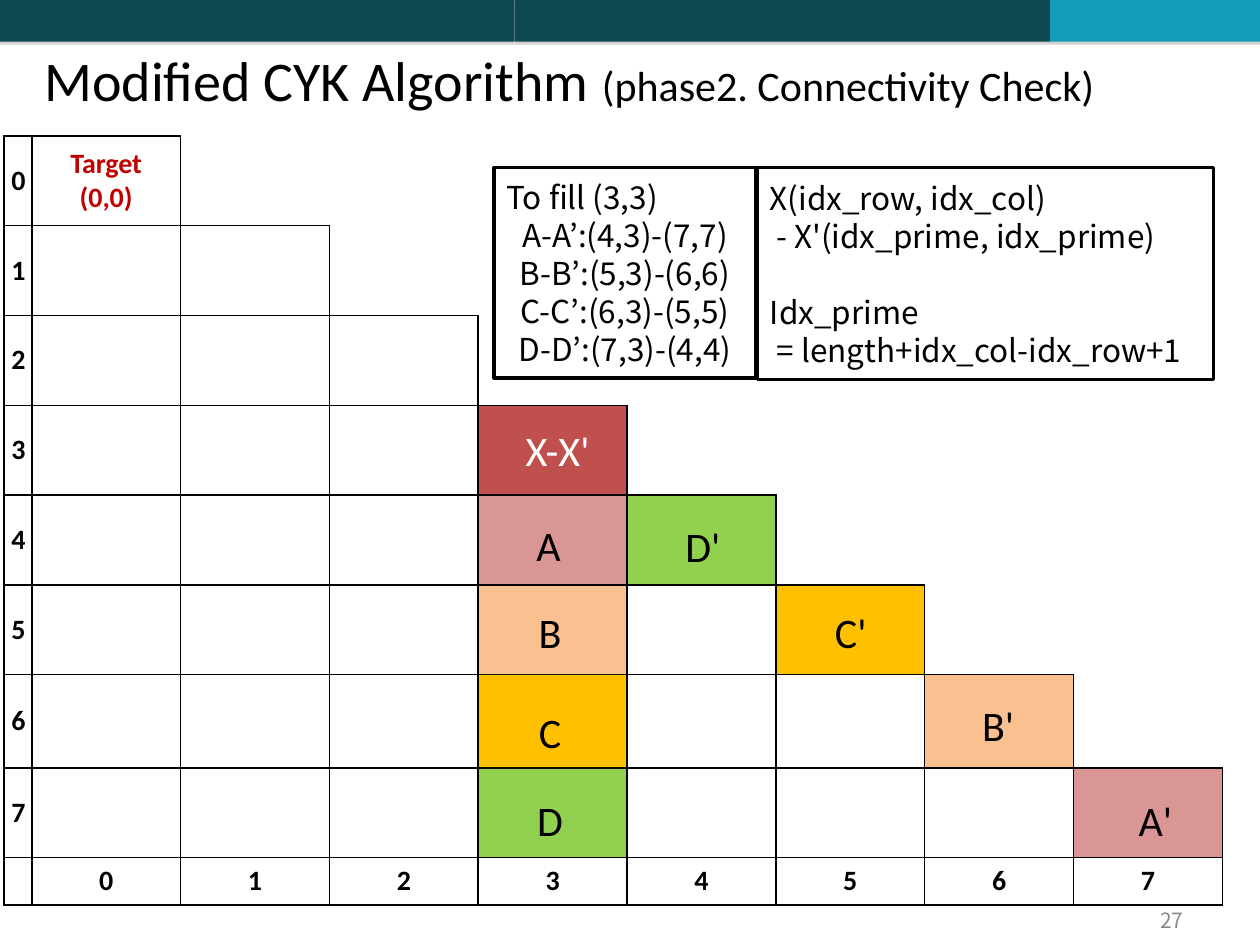
"""Build the slide on the connectivity check of the modified CYK algorithm."""
from lxml.etree import SubElement
from pptx import Presentation
from pptx.dml.color import RGBColor
from pptx.enum.shapes import MSO_SHAPE
from pptx.enum.text import MSO_ANCHOR as Anchor, MSO_AUTO_SIZE as AutoSize, PP_ALIGN as Align
from pptx.oxml.ns import qn
from pptx.util import Cm, Pt

BLACK = RGBColor(0x00, 0x00, 0x00)
WHITE = RGBColor(0xFF, 0xFF, 0xFF)
GRAY = RGBColor(0x89, 0x89, 0x89)
DARK_TEAL = RGBColor(0x0E, 0x48, 0x51)
SKY = RGBColor(0x13, 0x9C, 0xB7)
CRIMSON = RGBColor(0xC0, 0x00, 0x00)
RED = RGBColor(0xC0, 0x50, 0x4D)
PINK = RGBColor(0xD9, 0x96, 0x94)
PEACH = RGBColor(0xFA, 0xC0, 0x90)
AMBER = RGBColor(0xFF, 0xC0, 0x00)
GREEN = RGBColor(0x92, 0xD0, 0x50)
LATIN, SANS = "Calibri", "Noto Sans CJK KR"

TITLE = [("Modified CYK Algorithm ", 32), ("(phase2. Connectivity Check)", 24)]
PAGE_NUMBER = "27"
BANNER = [(0, 10.36, DARK_TEAL), (10.37, 10.8, DARK_TEAL), (21.17, 4.23, SKY)]
SIZE = 8
TARGET = ["Target", "(0,0)"]
CELL_FILLS = {
    (3, 3): RED, (4, 3): PINK, (5, 3): PEACH, (6, 3): AMBER, (7, 3): GREEN,
    (4, 4): GREEN, (5, 5): AMBER, (6, 6): PEACH, (7, 7): PINK,
}
LABELS = [
    ("X-X'", 11.24, 8.43, WHITE), ("A", 11.06, 10.34, BLACK),
    ("B", 11.09, 12.09, BLACK), ("C", 11.09, 14.12, BLACK),
    ("D", 11.09, 15.88, BLACK), ("D'", 14.17, 10.36, BLACK),
    ("C'", 17.15, 12.09, BLACK), ("B'", 20.12, 13.97, BLACK),
    ("A'", 23.29, 15.88, BLACK),
]
FILL_STEPS = [("To fill (3,3)", Align.LEFT, 0, 0)] + [
    (step, Align.CENTER, 0, 0)
    for step in ("A-A’:(4,3)-(7,7)", "B-B’:(5,3)-(6,6)", "C-C’:(6,3)-(5,5)", "D-D’:(7,3)-(4,4)")
]
INDEX_RULE = [
    ("X(idx_row, idx_col)", Align.LEFT, 0, 0),
    ("- X'(idx_prime, idx_prime)", Align.LEFT, 0.14, 0),
    ("Idx_prime", Align.LEFT, 0, 21.7),
    ("= length+idx_col-idx_row+1", Align.LEFT, 0.14, 0),
]
NOTES = [(9.96, 5.28, 4.24, FILL_STEPS), (15.27, 9.19, 4.27, INDEX_RULE)]
NOTE_TOP = 3.38

GRID_LEFT, GRID_TOP, COLUMN_WIDTH = 0.64, 2.74, 3.0
HEADER_LEFT, HEADER_WIDTH = 0.08, 0.58
ROW_HEIGHTS = [1.81] * 6 + [1.88, 1.81, 0.95]


def add_run(paragraph, text, size, color=BLACK, name=LATIN, bold=False):
    run = paragraph.add_run()
    run.text = text
    font = run.font
    font.size, font.name, font.bold = Pt(size), name, bold
    font.color.rgb = color


def add_text(slide, left, top, width, height, text, size, color, name, align):
    box = slide.shapes.add_textbox(Cm(left), Cm(top), Cm(width), Cm(height))
    frame = box.text_frame
    frame.word_wrap = True
    frame.vertical_anchor = Anchor.MIDDLE
    frame.paragraphs[0].alignment = align
    add_run(frame.paragraphs[0], text, size, color, name)


def add_rectangle(slide, left, top, width, height, color):
    shape = slide.shapes.add_shape(MSO_SHAPE.RECTANGLE, Cm(left), Cm(top), Cm(width), Cm(height))
    shape.shadow.inherit = False
    shape.fill.solid()
    shape.fill.fore_color.rgb = color
    shape.line.fill.background()
    return shape


def add_drop_shadow(shape):
    effects = shape._element.spPr.find(qn("a:effectLst"))
    shadow = SubElement(effects, qn("a:outerShdw"), blurRad="0", dist=str(Pt(1.8)), dir="5400000")
    color = SubElement(shadow, qn("a:srgbClr"), val="808080")
    SubElement(color, qn("a:alpha"), val="35000")


def add_note(slide, left, width, height, lines):
    shape = add_rectangle(slide, left, NOTE_TOP, width, height, WHITE)
    shape.line.color.rgb = BLACK
    shape.line.width = Pt(2)
    frame = shape.text_frame
    frame.word_wrap = True
    frame.vertical_anchor = Anchor.MIDDLE
    for index, (text, align, indent, space) in enumerate(lines):
        paragraph = frame.add_paragraph() if index else frame.paragraphs[0]
        paragraph.alignment = align
        paragraph.line_spacing = Pt(21.7)
        if space:
            paragraph.space_before = Pt(space)
        if indent:
            paragraph._p.get_or_add_pPr().set("marL", str(Cm(indent)))
        add_run(paragraph, text, 18, name=SANS)


def format_cell(cell, lines, sides, fill=None, color=BLACK):
    cell.margin_left = cell.margin_right = cell.margin_top = cell.margin_bottom = Cm(0.13)
    cell.vertical_anchor = Anchor.MIDDLE
    properties = cell._tc.get_or_add_tcPr()
    for side in "LRTB":
        line = SubElement(properties, qn(f"a:ln{side}"), w=str(Pt(1)))
        if side in sides:
            solid = SubElement(line, qn("a:solidFill"))
            SubElement(solid, qn("a:srgbClr"), val=str(BLACK))
        else:
            SubElement(line, qn("a:noFill"))
    if fill is None:
        cell.fill.background()
    else:
        cell.fill.solid()
        cell.fill.fore_color.rgb = fill
    frame = cell.text_frame
    for index, text in enumerate(lines):
        paragraph = frame.add_paragraph() if index else frame.paragraphs[0]
        paragraph.alignment = Align.CENTER
        add_run(paragraph, text, 16, color, bold=True)
    if not lines:
        frame.paragraphs[0]._p.get_or_add_endParaRPr().set("sz", "1600")


def add_plain_table(slide, left, column_count, column_width):
    table = slide.shapes.add_table(
        len(ROW_HEIGHTS), column_count, Cm(left), Cm(GRID_TOP),
        Cm(column_count * column_width), Cm(sum(ROW_HEIGHTS)),
    ).table
    table.first_row = table.horz_banding = False
    for column in table.columns:
        column.width = Cm(column_width)
    for row, height in zip(table.rows, ROW_HEIGHTS):
        row.height = Cm(height)
    return table


def add_grid(slide):
    table = add_plain_table(slide, GRID_LEFT, SIZE, COLUMN_WIDTH)
    for row in range(SIZE + 1):
        for column in range(SIZE):
            sides = "LRTB" if column <= row else "LB" if column == row + 1 else ""
            lines = [str(column)] if row == SIZE else TARGET if row == column == 0 else []
            color = BLACK if row == SIZE else CRIMSON
            format_cell(table.cell(row, column), lines, sides, CELL_FILLS.get((row, column)), color)


def add_row_header(slide):
    table = add_plain_table(slide, HEADER_LEFT, 1, HEADER_WIDTH)
    for row in range(SIZE + 1):
        format_cell(table.cell(row, 0), [str(row)] if row < SIZE else [], "LRTB")


def add_title(slide):
    title = slide.shapes.title
    title.left, title.top, title.width, title.height = Cm(0.64), Cm(0.79), Cm(24), Cm(1.98)
    frame = title.text_frame
    frame.auto_size = AutoSize.NONE
    frame.vertical_anchor = Anchor.TOP
    frame.paragraphs[0].alignment = Align.LEFT
    for text, size in TITLE:
        add_run(frame.paragraphs[0], text, size)


def main():
    presentation = Presentation()
    presentation.slide_width, presentation.slide_height = Cm(25.4), Cm(19.05)
    slide = presentation.slides.add_slide(presentation.slide_layouts[5])
    for left, width, color in BANNER:
        add_drop_shadow(add_rectangle(slide, left, 0, width, 0.84, color))
    add_text(slide, 18.21, 18.21, 5.9, 0.69, PAGE_NUMBER, 12, GRAY, SANS, Align.RIGHT)
    add_grid(slide)
    add_title(slide)
    for text, center, top, color in LABELS:
        width = 2.1 if len(text) > 2 else 1.27
        add_text(slide, center - width / 2, top, width, 1.27, text, 24, color, LATIN, Align.CENTER)
    for left, width, height, lines in NOTES:
        add_note(slide, left, width, height, lines)
    add_row_header(slide)
    presentation.save("out.pptx")


if __name__ == "__main__":
    main()
